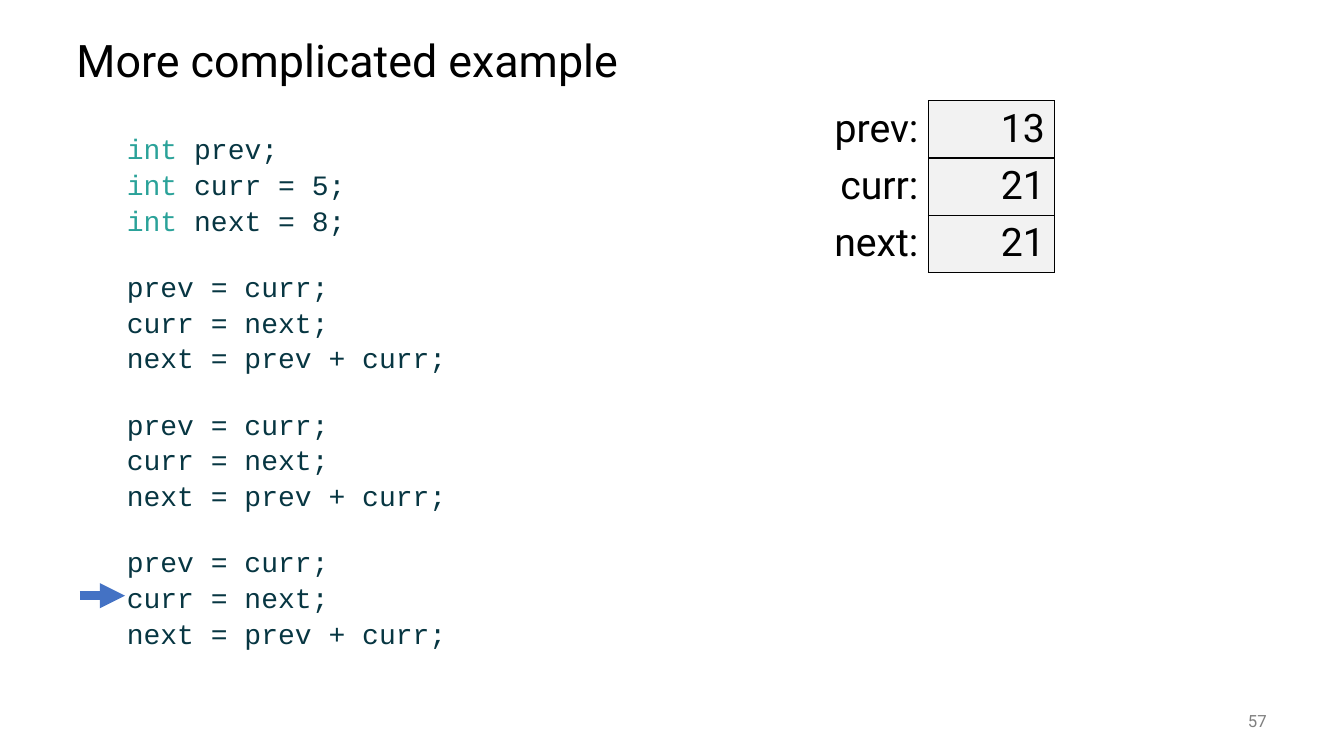
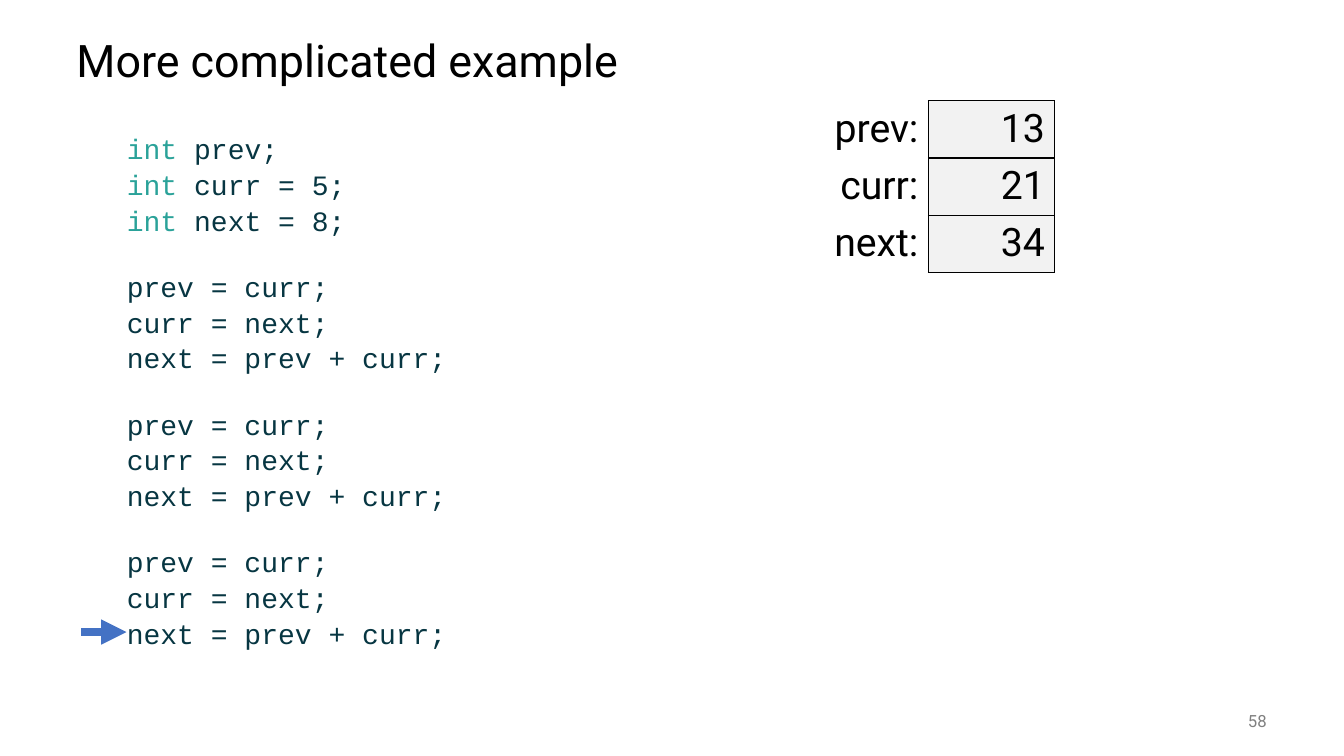
from dataclasses import dataclass

import lxml.etree
import pptx
import pptx.dml.color
import pptx.enum.shapes
import pptx.enum.text
import pptx.oxml
import pptx.oxml.ns
import pptx.util

Pt = pptx.util.Pt
qn = pptx.oxml.ns.qn
ALIGN = pptx.enum.text.PP_ALIGN
ANCHOR = pptx.enum.text.MSO_ANCHOR

BLACK, GRAY, BLUE, CELL = "000000", "808080", "4472C4", "F2F2F2"
TITLE = {"name": "Roboto", "size": Pt(32), "color": BLACK}
NUMBER = {"name": "Roboto", "size": Pt(12), "color": GRAY}
VALUE = {"name": "Roboto", "size": Pt(28), "color": BLACK}
CODE = {"name": "Courier New", "size": Pt(20), "color": "073642"}
KEYWORD = CODE | {"color": "2AA299"}

LINE_HEIGHT, LINE_GAP = 21.6, 4
UPDATE = ["prev = curr;", "curr = next;", "next = prev + curr;"]
GROUPS = [["int prev;", "int curr = 5;", "int next = 8;"], UPDATE, UPDATE, UPDATE]
VARIABLES = ["prev:", "curr:", "next:"]
NO_STYLE = "{2D5ABB26-0587-4C30-8999-92F81FD0307C}"


@dataclass
class Step:
    number: int
    values: list[int]
    arrow_x: float
    arrow_y: float


STEPS = [
    Step(57, [13, 21, 21], 57, 425.5),
    Step(58, [13, 21, 34], 58, 451.5),
]


def rgb(color: str):
    return pptx.dml.color.RGBColor.from_string(color)


def add_run(p, text: str, style: dict) -> None:
    r = p.add_run()
    r.text = text
    for key, value in style.items():
        if key == "color":
            r.font.color.rgb = rgb(value)
        else:
            setattr(r.font, key, value)


def add_box(s, x: float, y: float, w: float, h: float, **frame):
    tf = s.shapes.add_textbox(Pt(x), Pt(y), Pt(w), Pt(h)).text_frame
    for key, value in ({"word_wrap": True} | frame).items():
        setattr(tf, key, value)
    return tf


def add_title(s, text: str) -> None:
    p = add_box(s, 47.5, 18, 864, 54, vertical_anchor=ANCHOR.MIDDLE).paragraphs[0]
    p.line_spacing = 0.9
    add_run(p, text, TITLE)


def add_number(s, number: int) -> None:
    p = add_box(s, 840, 500.5, 72, 28.8, vertical_anchor=ANCHOR.MIDDLE).paragraphs[0]
    p.alignment = ALIGN.RIGHT
    add_run(p, str(number), NUMBER)


def add_code(s, groups: list[list[str]]) -> None:
    tf = add_box(s, 47.5, 90, 864, 396, margin_top=Pt(6.4))
    p = tf.paragraphs[0]
    for g, lines in enumerate(groups):
        for i, line in enumerate(lines):
            if g or i:
                p = tf.add_paragraph()
                p.space_before = Pt(LINE_GAP if i else LINE_GAP + LINE_HEIGHT)
            p.line_spacing = Pt(LINE_HEIGHT)
            p._p.get_or_add_pPr().set("marL", str(Pt(36)))
            if line.startswith("int "):
                add_run(p, "int ", KEYWORD)
                line = line.removeprefix("int ")
            add_run(p, line, CODE)


def add_borders(cell, sides: str) -> None:
    tcPr = cell._tc.get_or_add_tcPr()
    for side in sides:
        ln = lxml.etree.SubElement(tcPr, qn(f"a:ln{side}"), w=str(Pt(1)))
        fill = lxml.etree.SubElement(ln, qn("a:solidFill"))
        lxml.etree.SubElement(fill, qn("a:srgbClr"), val=BLACK)


def add_variables(s, values: list[int]) -> None:
    width, height = 90.25, 40
    rows = len(values)
    frame = s.shapes.add_table(rows, 2, Pt(573), Pt(72), Pt(2 * width), Pt(rows * height))
    table = frame.table
    table.first_row = table.horz_banding = False
    table._tbl.tblPr.find(qn("a:tableStyleId")).text = NO_STYLE
    for column in table.columns:
        column.width = Pt(width)
    for i, row in enumerate(zip(VARIABLES, values)):
        table.rows[i].height = Pt(height)
        for j, text in enumerate(row):
            cell = table.cell(i, j)
            add_borders(cell, "LRTB" if j else "R")
            if j:
                cell.fill.solid()
                cell.fill.fore_color.rgb = rgb(CELL)
            else:
                cell.fill.background()
            p = cell.text_frame.paragraphs[0]
            p.alignment = ALIGN.RIGHT
            add_run(p, str(text), VALUE)


def add_arrow(s, x: float, y: float) -> None:
    kind = pptx.enum.shapes.MSO_CONNECTOR.STRAIGHT
    sp = s.shapes.add_connector(kind, Pt(x), Pt(y), Pt(x + 32.3), Pt(y))
    sp.line.width = Pt(6)
    sp.line.color.rgb = rgb(BLUE)
    lxml.etree.SubElement(sp.line._get_or_add_ln(), qn("a:tailEnd"), type="triangle")
    lxml.etree.SubElement(sp._element.spPr, qn("a:effectLst"))


def main() -> None:
    prs = pptx.Presentation()
    prs.slide_width, prs.slide_height = Pt(960), Pt(540)
    for step in STEPS:
        s = prs.slides.add_slide(prs.slide_layouts[6])
        add_title(s, "More complicated example")
        add_code(s, GROUPS)
        add_number(s, step.number)
        add_variables(s, step.values)
        add_arrow(s, step.arrow_x, step.arrow_y)
    prs.save("out.pptx")


if __name__ == "__main__":
    main()
